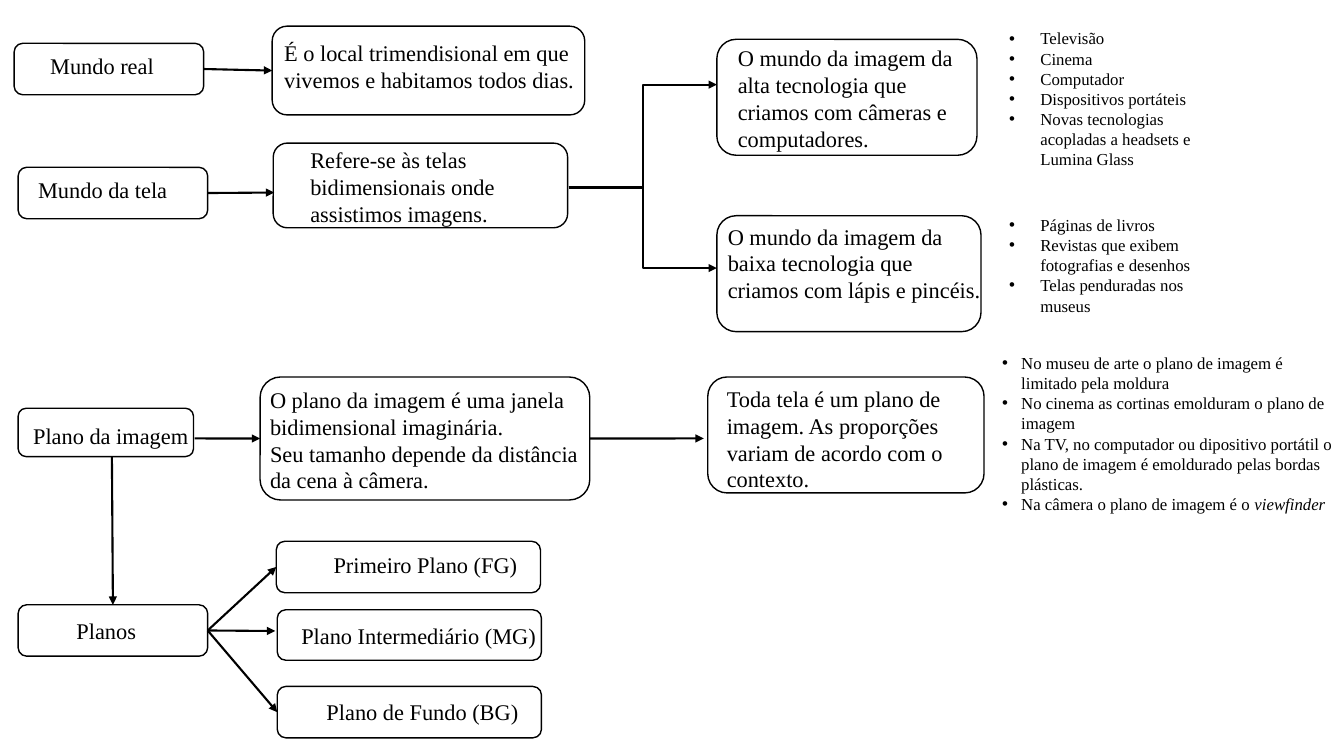
import pptx
import pptx.dml.color
import pptx.enum.shapes
import pptx.enum.text
import pptx.oxml.ns
import pptx.util
from lxml import etree
from pptx.util import Inches

BLACK = pptx.dml.color.RGBColor(0x00, 0x00, 0x00)
FONT = "Times New Roman"
BOX_SIZE, LIST_SIZE = 16, 12
TOP, LEFT, BOTTOM, RIGHT = range(4)
BLANK_LAYOUT = 6
STRAIGHT = pptx.enum.shapes.MSO_CONNECTOR.STRAIGHT
ELBOW = pptx.enum.shapes.MSO_CONNECTOR.ELBOW


def add_xml(parent, tag, **attributes):
    return etree.SubElement(parent, pptx.oxml.ns.qn(tag), **attributes)


class ConceptMap:
    """Draws boxes, labels, bullet lists and arrows in one style."""

    def __init__(self, slide):
        self.slide = slide

    def text(self, area, lines, size=BOX_SIZE, wrap=True):
        shape = self.slide.shapes.add_textbox(*map(Inches, area))
        frame = shape.text_frame
        frame.text = "\n".join(lines)
        frame.word_wrap = wrap
        frame.auto_size = pptx.enum.text.MSO_AUTO_SIZE.SHAPE_TO_FIT_TEXT
        for paragraph in frame.paragraphs:
            for run in paragraph.runs:
                self.format_run(run, size)
        return frame

    def format_run(self, run, size):
        run.font.name = FONT
        run.font.size = pptx.util.Pt(size)
        run.font.color.rgb = BLACK

    def box(self, area, text_area, *lines, wrap=False):
        """Add an outlined box and its label; return the outline."""
        shape = self.slide.shapes.add_shape(
            pptx.enum.shapes.MSO_SHAPE.ROUNDED_RECTANGLE, *map(Inches, area))
        shape.shadow.inherit = False
        shape.fill.background()
        shape.line.color.rgb = BLACK
        shape.line.width = pptx.util.Pt(1)
        self.text(text_area, lines, wrap=wrap)
        return shape

    def bullets(self, area, indent, items):
        frame = self.text(area, items, LIST_SIZE)
        for paragraph in frame.paragraphs:
            properties = paragraph._p.get_or_add_pPr()
            properties.set("marL", str(Inches(indent)))
            properties.set("indent", str(-Inches(indent)))
            add_xml(properties, "a:buFont", typeface="Arial")
            add_xml(properties, "a:buChar", char="•")
        return frame

    def arrow(self, start, end, begin=None, finish=None, kind=STRAIGHT):
        """Draw an arrow; begin and finish are optional (shape, side) joints."""
        connector = self.slide.shapes.add_connector(
            kind, *map(Inches, (*start, *end)))
        if begin:
            connector.begin_connect(*begin)
        if finish:
            connector.end_connect(*finish)
        connector.line.color.rgb = BLACK
        connector.line.width = pptx.util.Pt(1.5)
        add_xml(connector.line._get_or_add_ln(), "a:tailEnd", type="triangle")
        add_xml(connector._element.spPr, "a:effectLst")


def draw_worlds(diagram):
    real_world = diagram.box(
        (0.14, 0.43, 1.88, 0.51), (0.4, 0.47, 1.24, 0.37), "Mundo real")
    real_place = diagram.box(
        (2.7, 0.26, 3.1, 0.88), (2.72, 0.34, 3.1, 0.91),
        "É o local trimendisional em que vivemos e habitamos todos dias.",
        wrap=True)
    screen_world = diagram.box(
        (0.18, 1.66, 1.88, 0.51), (0.28, 1.7, 1.49, 0.37), "Mundo da tela")
    diagram.box(
        (2.71, 1.42, 2.92, 0.84), (2.98, 1.4, 2.63, 0.91),
        "Refere-se às telas bidimensionais onde assistimos imagens.", wrap=True)
    diagram.box(
        (7.11, 0.39, 2.58, 1.15), (7.22, 0.39, 2.46, 1.18),
        "O mundo da imagem da alta tecnologia que criamos com câmeras e "
        "computadores.", wrap=True)
    diagram.box(
        (7.11, 2.14, 2.62, 1.15), (7.12, 2.16, 2.73, 0.91),
        "O mundo da imagem da baixa tecnologia que criamos com lápis e "
        "pincéis.", wrap=True)

    diagram.arrow((2.02, 0.68), (2.7, 0.7),
                  (real_world, RIGHT), (real_place, LEFT))
    diagram.arrow((2.06, 1.91), (2.72, 1.91), (screen_world, RIGHT))
    for technology_y in (0.84, 2.66):
        diagram.arrow((5.64, 1.86), (7.11, technology_y), kind=ELBOW)

    diagram.bullets((9.91, 0.23, 2.08, 1.51), 0.31, [
        "Televisão", "Cinema", "Computador", "Dispositivos portáteis",
        "Novas tecnologias acopladas a headsets e Lumina Glass"])
    diagram.bullets((9.91, 2.08, 2.03, 1.31), 0.31, [
        "Páginas de livros", "Revistas que exibem fotografias e desenhos",
        "Telas penduradas nos museus"])


def draw_picture_plane(diagram):
    """Draw the picture plane row and return its first box."""
    diagram.box(
        (7.02, 3.74, 2.74, 1.15), (7.11, 3.77, 2.81, 1.18),
        "Toda tela é um plano de imagem. As proporções variam de acordo com o "
        "contexto.", wrap=True)
    picture_plane = diagram.box(
        (0.18, 4.05, 1.74, 0.48), (0.23, 4.14, 1.75, 0.37), "Plano da imagem")
    window = diagram.box(
        (2.58, 3.74, 3.27, 1.22), (2.58, 3.78, 3.36, 1.18),
        "O plano da imagem é uma janela", "bidimensional imaginária.",
        "Seu tamanho depende da distância", "da cena à câmera.")
    diagram.arrow((1.93, 4.35), (2.58, 4.35), finish=(window, LEFT))
    diagram.arrow((5.85, 4.35), (6.98, 4.35), (window, RIGHT))

    frame = diagram.bullets((9.84, 3.45, 3.5, 1.72), 0.19, [
        "No museu de arte o plano de imagem é limitado pela moldura",
        "No cinema as cortinas emolduram o plano de imagem",
        "Na TV, no computador ou dipositivo portátil o plano de imagem é "
        "emoldurado pelas bordas plásticas.",
        "Na câmera o plano de imagem é o "])
    viewfinder = frame.paragraphs[-1].add_run()
    viewfinder.text = "viewfinder"
    diagram.format_run(viewfinder, LIST_SIZE)
    viewfinder.font.italic = True


def draw_planes(diagram):
    planes = diagram.box(
        (0.18, 6, 1.88, 0.51), (0.66, 6.07, 0.8, 0.37), "Planos")
    foreground = diagram.box(
        (2.74, 5.37, 2.62, 0.51), (3.21, 5.42, 2.11, 0.37),
        "Primeiro Plano (FG)")
    diagram.box(
        (2.75, 6.05, 2.62, 0.5), (2.89, 6.12, 2.57, 0.37),
        "Plano Intermediário (MG)")
    background = diagram.box(
        (2.75, 6.81, 2.62, 0.51), (3.14, 6.88, 2.13, 0.37),
        "Plano de Fundo (BG)")
    for end, finish in (((2.74, 5.62), (foreground, LEFT)),
                        ((2.73, 6.26), None),
                        ((2.75, 7.06), (background, LEFT))):
        diagram.arrow((2.06, 6.26), end, (planes, RIGHT), finish)
    diagram.arrow((1.11, 4.53), (1.12, 6), finish=(planes, TOP))


def main():
    presentation = pptx.Presentation()
    presentation.slide_width = Inches(13.33)
    presentation.slide_height = Inches(7.5)
    slide = presentation.slides.add_slide(
        presentation.slide_layouts[BLANK_LAYOUT])
    diagram = ConceptMap(slide)
    draw_worlds(diagram)
    draw_picture_plane(diagram)
    draw_planes(diagram)
    presentation.save("out.pptx")


if __name__ == "__main__":
    main()
